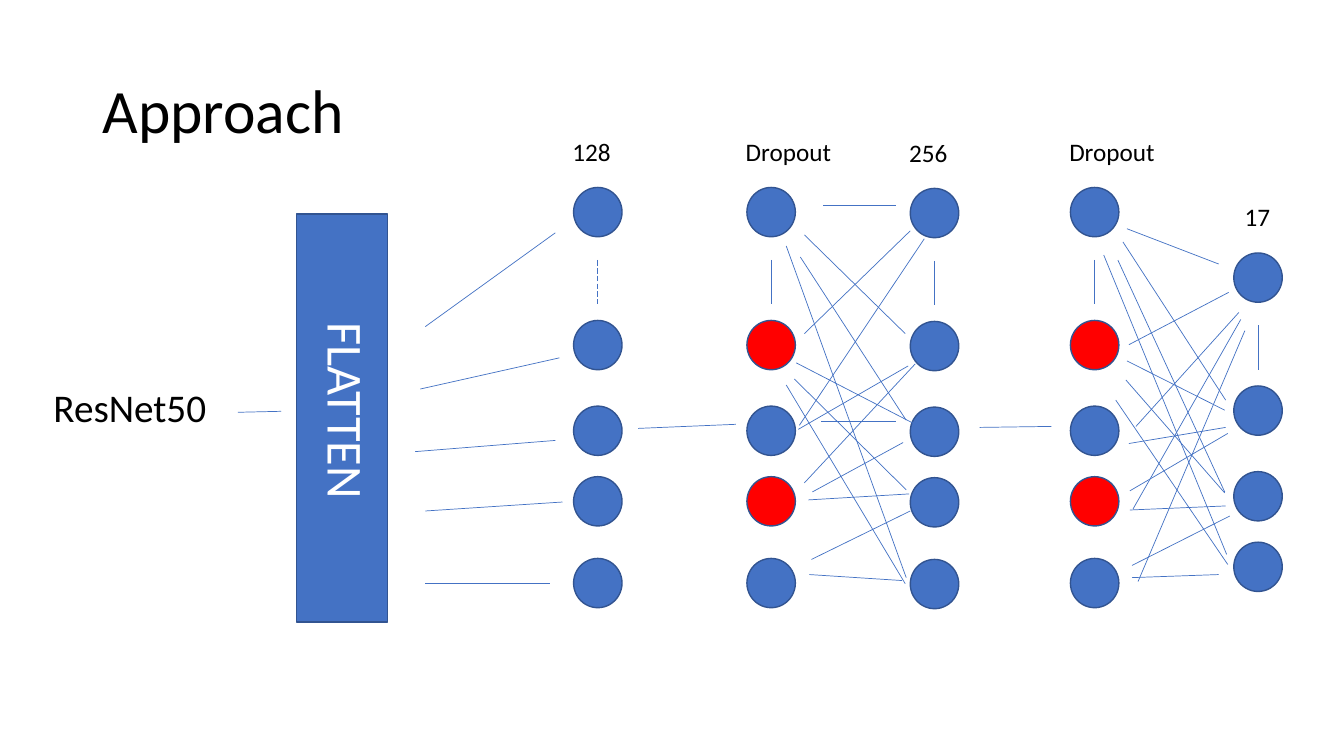
from lxml.etree import SubElement
from pptx import Presentation
from pptx.dml.color import RGBColor
from pptx.enum.dml import MSO_LINE
from pptx.enum.shapes import MSO_CONNECTOR, MSO_SHAPE
from pptx.enum.text import MSO_ANCHOR, MSO_AUTO_SIZE, PP_ALIGN
from pptx.oxml.ns import qn
from pptx.util import Pt

BLUE, OUTLINE, RED = "4472C4", "325491", "FF0000"
NODE_W, NODE_H = 34.6, 35.2
NODE_OFFSETS = (0, 95, 156.2, 206.6, 265)

# label, left, top, node offsets, red nodes, label shift, label width
LAYERS = (
    ("128", 409.7, 133.9, NODE_OFFSETS, (), -7.9, 42.5),
    ("Dropout", 533.5, 133.9, NODE_OFFSETS, (1, 3), -7.9, 76.3),
    ("256", 650.2, 134.6, NODE_OFFSETS, (), -7.9, 42.5),
    ("Dropout", 764.6, 133.9, NODE_OFFSETS, (1, 3), -7.9, 76.3),
    ("17", 881.3, 180.7, NODE_OFFSETS[:4], (), 0.7, 33.1),
)

FLATTEN_LINKS = (
    (303.8, 233.3, 396.7, 166.3), (300.2, 277.9, 399.6, 255.6),
    (296.6, 322.6, 396.7, 314.6), (303.8, 365, 401.8, 358.6),
    (303.8, 416.9, 393.1, 416.9),
)
HIDDEN_LINKS = (
    (588.2, 146.9, 640.1, 146.9), (574.6, 167.8, 646.6, 238.3),
    (571.7, 183.6, 647.3, 300.2), (561.6, 175.7, 647.3, 412.6),
    (574.6, 238.3, 650.2, 164.9), (568.8, 259.2, 653.8, 303.1),
    (567.4, 270.7, 647.3, 349.9), (561.6, 275, 646.6, 416.9),
    (571, 303.8, 660.2, 170.6), (570.2, 306.7, 648.7, 261.4),
    (577.4, 357.1, 649.4, 352.8), (578.2, 410.4, 644.4, 414.7),
    (579.6, 399.6, 650.2, 365), (580.3, 351.4, 645.1, 316.1),
    (574.6, 344.9, 653.8, 259.9), (586.8, 301, 640.1, 301),
)
OUTPUT_LINKS = (
    (805, 163.4, 870.5, 188.6), (802.1, 172.8, 875.5, 285.8),
    (798.5, 185.8, 874.8, 351.4), (788.4, 182.2, 876.2, 396),
    (806.4, 246.2, 877.7, 208.8), (811.4, 304.6, 884.9, 223.2),
    (809.3, 363.6, 886.3, 228.2), (812.9, 415.4, 889.2, 236.2),
    (805, 257.8, 874.8, 293), (804.2, 271.4, 874.8, 352.1),
    (797, 285.8, 877, 403.2), (808.6, 412.6, 870.5, 410.4),
    (807.1, 364.3, 875.5, 361.4), (806.4, 316.8, 875.5, 305.3),
    (808.6, 403.9, 878.4, 368.6), (807.1, 350.6, 877, 309.6),
)
STAGE_LINKS = (
    (169.9, 294.5, 200.9, 293.8), (455.8, 306, 525.6, 303.1),
    (699.8, 305.3, 751, 304.6),
)


def rgb(color):
    """Return the colour for a hex string."""
    return RGBColor.from_string(color)


def place(sp, left, top, width, height):
    """Set the position and size of a shape in points."""
    sp.left, sp.top, sp.width, sp.height = map(Pt, (left, top, width, height))


def write(sp, text, size, color="000000", anchor=MSO_ANCHOR.TOP, wrap=True, spacing=None):
    """Write one left-aligned, unbulleted paragraph in a shape."""
    tf = sp.text_frame
    tf.word_wrap = wrap
    tf.auto_size = MSO_AUTO_SIZE.NONE
    tf.vertical_anchor = anchor
    p = tf.paragraphs[0]
    pPr = p._p.get_or_add_pPr()
    pPr.set("marL", "0")
    pPr.set("indent", "0")
    SubElement(pPr, qn("a:buNone"))
    p.alignment = PP_ALIGN.LEFT
    p.space_before = Pt(0)
    if spacing:
        p.line_spacing = spacing
    r = p.add_run()
    r.text = text
    r.font.name = "Calibri"
    r.font.size = Pt(size)
    r.font.color.rgb = rgb(color)


def add_label(shapes, text, box, size, **fmt):
    """Add a text box and return it."""
    sp = shapes.add_textbox(*map(Pt, box))
    write(sp, text, size, **fmt)
    return sp


def add_block(shapes, kind, box, fill):
    """Add a filled, outlined preset shape."""
    sp = shapes.add_shape(kind, *map(Pt, box))
    sp.shadow.inherit = False
    sp.fill.solid()
    sp.fill.fore_color.rgb = rgb(fill)
    sp.line.color.rgb = rgb(OUTLINE)
    sp.line.width = Pt(1)


def add_link(shapes, ends, dash=None):
    """Add a thin straight line between two points."""
    cxn = shapes.add_connector(MSO_CONNECTOR.STRAIGHT, *map(Pt, ends))
    cxn.line.color.rgb = rgb(BLUE)
    cxn.line.width = Pt(0.5)
    if dash:
        cxn.line.dash_style = dash
    SubElement(cxn._element.spPr, qn("a:effectLst"))


def add_layer(shapes, label, left, top, offsets, dropped, shift, width):
    """Add a grouped column of nodes with its label and gap line."""
    group = shapes.add_group_shape().shapes
    for i, offset in enumerate(offsets):
        box = (left, top + offset, NODE_W, NODE_H)
        add_block(group, MSO_SHAPE.OVAL, box, RED if i in dropped else BLUE)
    x = left + NODE_W / 2
    dash = MSO_LINE.LONG_DASH if label == "128" else None
    add_link(group, (x, top + 51.8, x, top + 83.5), dash)
    add_label(group, label, (left + shift, top - 40.2, width, 29), 18, wrap=False)


def main():
    """Build the network diagram slide."""
    prs = Presentation()
    prs.slide_width, prs.slide_height = Pt(960), Pt(540)
    slide = prs.slides.add_slide(prs.slide_layouts[1])
    shapes = slide.shapes

    title, body = slide.placeholders
    place(title, 66, 28.8, 828, 104.4)
    write(title, "Approach", 44, anchor=MSO_ANCHOR.MIDDLE, spacing=0.9)
    place(body, 31, 274.3, 139, 40.3)
    write(body, "ResNet50", 28, spacing=0.9)

    add_block(shapes, MSO_SHAPE.RECTANGLE, (212, 152.8, 64.8, 291.6), BLUE)
    flatten = add_label(shapes, "FLATTEN", (177.1, 268.6, 141.8, 51), 36, color="FFFFFF")
    flatten.rotation = 90

    for layer in LAYERS:
        add_layer(shapes, *layer)
    for ends in FLATTEN_LINKS + HIDDEN_LINKS + OUTPUT_LINKS + STAGE_LINKS:
        add_link(shapes, ends)
    prs.save("out.pptx")


if __name__ == "__main__":
    main()
